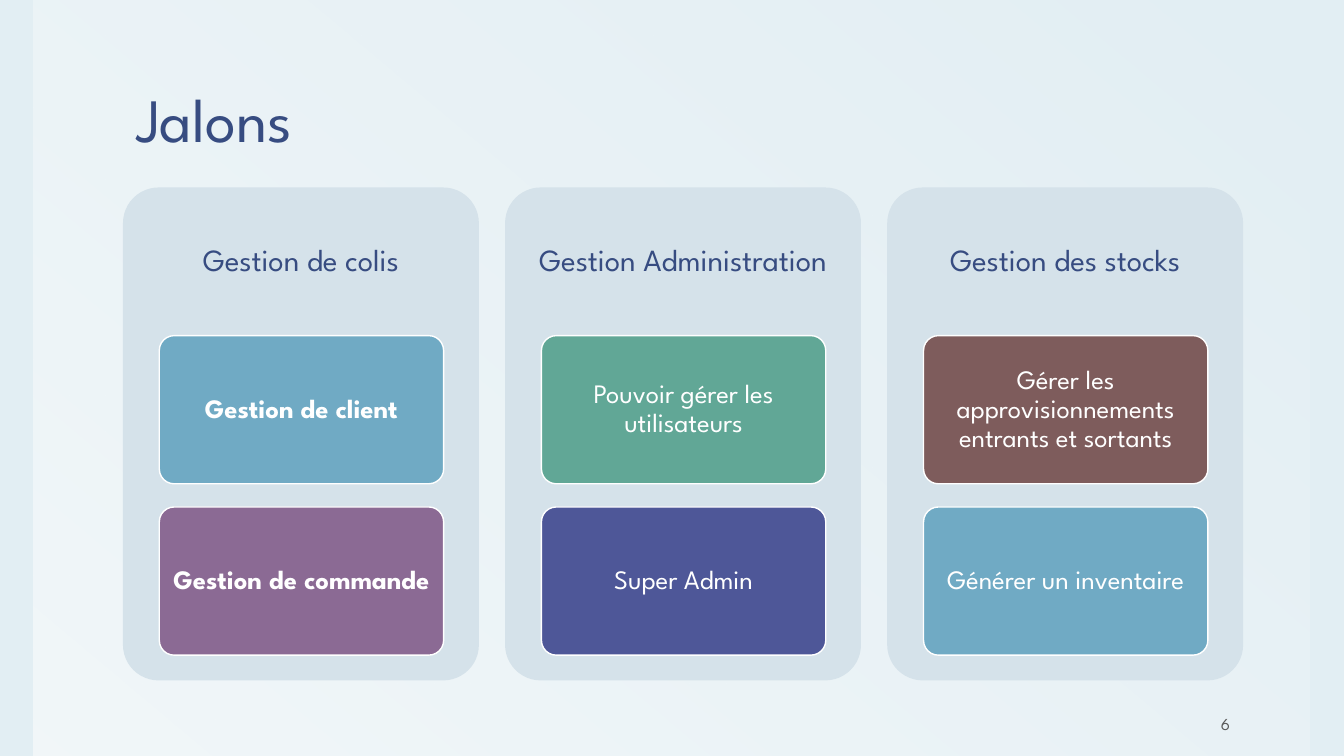
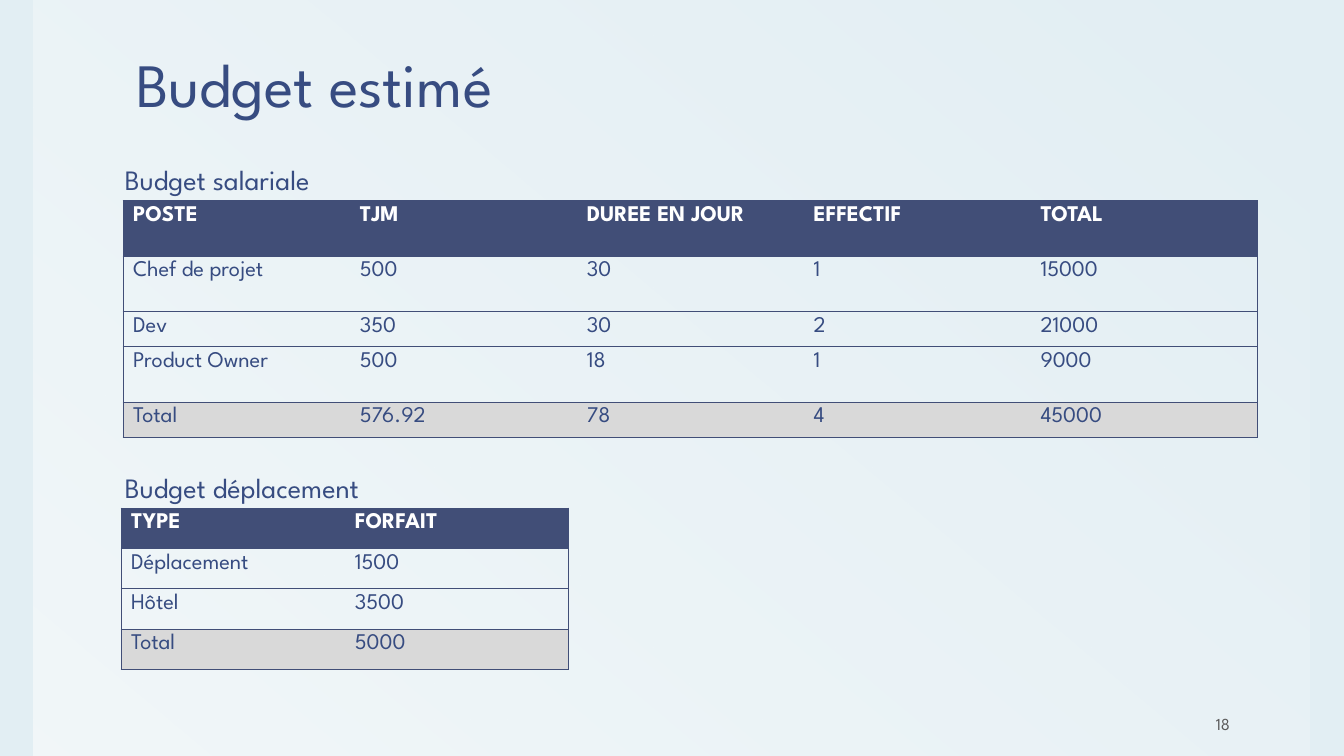
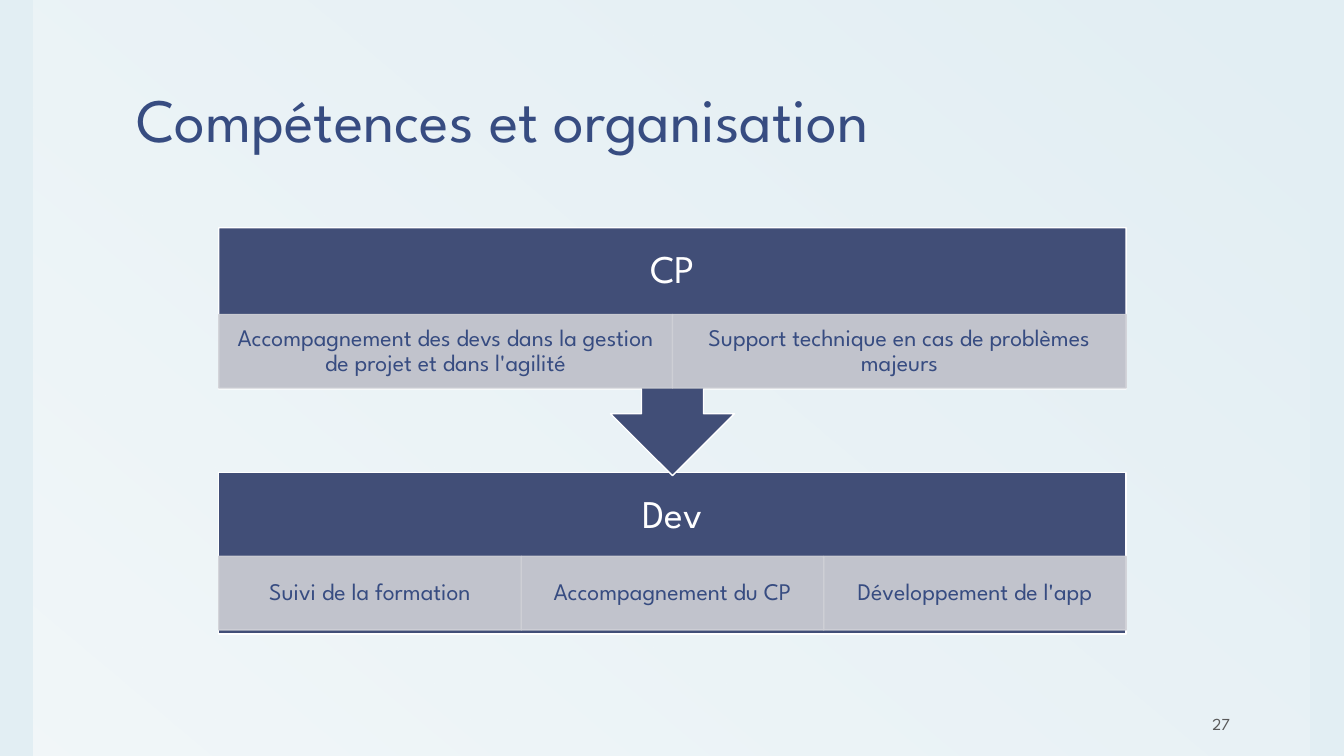
import pptx
import pptx.dml.color
import pptx.enum.shapes
import pptx.enum.text
import pptx.oxml
import pptx.oxml.ns
import pptx.util

Inches = pptx.util.Inches
Shape = pptx.enum.shapes.MSO_SHAPE
Align = pptx.enum.text.PP_ALIGN
Anchor = pptx.enum.text.MSO_ANCHOR

FONT = "League Spartan"
BACKGROUND = "E2EEF3"
WHITE = "FFFFFF"
INK = "374C81"
NAVY = "414E77"
CARD = "D5E2EA"
TASK = "CFD0D6"
TOTAL = "D9D9D9"
PAGE_GREY = "595959"
BLUE, PURPLE, GREEN, INDIGO, BROWN = "70AAC4", "8B6A94", "61A796", "4E5798", "7E5C5C"

LEFT = 1.22
PLACEHOLDER_INSETS = (0.13, 0.07, 0.13, 0.07)
NO_GRID_STYLE = "{2D5ABB26-0587-4C30-8999-92F81FD0307C}"


def rgb(value):
    return pptx.dml.color.RGBColor.from_string(value)


def write_text(frame, text, *, size, color=INK, bold=False, align=Align.LEFT,
               spacing=None, anchor=None, insets=None):
    """Fill a frame with one paragraph; insets run left, top, right, bottom."""
    if insets:
        frame.word_wrap = True
        frame.auto_size = pptx.enum.text.MSO_AUTO_SIZE.NONE
        (frame.margin_left, frame.margin_top,
         frame.margin_right, frame.margin_bottom) = map(Inches, insets)
    if anchor is not None:
        frame.vertical_anchor = anchor
    frame.text = text
    para = frame.paragraphs[0]
    para.alignment = align
    para.line_spacing = spacing
    font = para.runs[0].font
    font.name, font.size, font.bold = FONT, pptx.util.Pt(size), bold
    font.color.rgb = rgb(color)


def set_alpha(shape, percents):
    """Give the shape's fill and line colours, in order, their opacity."""
    colors = shape.element.spPr.iter(pptx.oxml.ns.qn("a:srgbClr"))
    for color, percent in zip(colors, percents):
        alpha = pptx.oxml.parse_xml(
            f'<a:alpha {pptx.oxml.ns.nsdecls("a")} val="{percent * 1000}"/>')
        color.append(alpha)


def add_box(slide, kind, place, fill, line=None):
    shape = slide.shapes.add_shape(kind, *map(Inches, place))
    shape.shadow.inherit = False
    shape.fill.solid()
    shape.fill.fore_color.rgb = rgb(fill)
    if line:
        shape.line.color.rgb = rgb(line)
        shape.line.width = pptx.util.Pt(1)
    else:
        shape.line.fill.background()
    return shape


def add_label(slide, place, text, **style):
    box = slide.shapes.add_textbox(*map(Inches, place))
    write_text(box.text_frame, text, **style)


def set_up_background(deck, layout):
    """Draw the tinted background and the pale panel once, on the layout."""
    fill = deck.slide_master.background.fill
    fill.solid()
    fill.fore_color.rgb = rgb(BACKGROUND)
    panel = add_box(deck.slides[0], Shape.RECTANGLE, (0.33, 0, 12.66, 7.5), WHITE)
    panel.fill.gradient()
    panel.fill.gradient_angle = 230
    for stop, position in zip(panel.fill.gradient_stops, (0, 1)):
        stop.color.rgb = rgb(WHITE)
        stop.position = position
    set_alpha(panel, (0, 55))
    layout.element.cSld.spTree.insert(2, panel.element)


def add_page(deck, layout, title, number, title_height=1.53):
    slide = deck.slides.add_slide(layout)
    heading = slide.shapes.title
    heading.left, heading.top = Inches(LEFT), Inches(0.08)
    heading.width, heading.height = Inches(11.11), Inches(title_height)
    write_text(heading.text_frame, title, size=44, spacing=0.85,
               anchor=Anchor.BOTTOM, insets=PLACEHOLDER_INSETS)
    add_label(slide, (11.12, 7, 1.21, 0.35), str(number), size=12, color=PAGE_GREY,
              align=Align.RIGHT, anchor=Anchor.BOTTOM, insets=PLACEHOLDER_INSETS)
    return slide


def add_milestone_column(slide, left, heading, items, bold):
    card = add_box(slide, Shape.ROUNDED_RECTANGLE, (left, 1.86, 3.53, 4.89), CARD)
    card.adjustments[0] = 0.1
    write_text(card.text_frame, heading, size=22, align=Align.CENTER, spacing=0.9,
               anchor=Anchor.MIDDLE, insets=(0.05, 0.09, 0.05, 3.51))
    for row, (text, color) in enumerate(items):
        place = (left + 0.36, 3.33 + 1.7 * row, 2.82, 1.47)
        item = add_box(slide, Shape.ROUNDED_RECTANGLE, place, color, line=WHITE)
        item.adjustments[0] = 0.1
        write_text(item.text_frame, text, size=19, color=WHITE, bold=bold,
                   align=Align.CENTER, spacing=0.9, anchor=Anchor.MIDDLE,
                   insets=(0.05, 0.04, 0.05, 0.04))


def add_borders(cell, sides):
    properties = cell._tc.get_or_add_tcPr()
    for side in sides:
        properties.append(pptx.oxml.parse_xml(
            f'<a:ln{side} {pptx.oxml.ns.nsdecls("a")} w="6350"><a:solidFill>'
            f'<a:srgbClr val="{NAVY}"/></a:solidFill></a:ln{side}>'))


def add_budget_table(slide, left, top, column_width, heights, rows):
    """Add a table whose first row is the header and last row the total."""
    column_count, last_row = len(rows[0]), len(rows) - 1
    frame = slide.shapes.add_table(
        len(rows), column_count, Inches(left), Inches(top),
        Inches(column_width * column_count), Inches(sum(heights)))
    table = frame.table
    table._tbl.tblPr.find(pptx.oxml.ns.qn("a:tableStyleId")).text = NO_GRID_STYLE
    for column in table.columns:
        column.width = Inches(column_width)
    fills = {0: NAVY, last_row: TOTAL}
    for row, (height, texts) in enumerate(zip(heights, rows)):
        table.rows[row].height = Inches(height)
        for column, text in enumerate(texts):
            cell = table.cell(row, column)
            sides = ["L"] if column == 0 else []
            sides += ["R"] if column == column_count - 1 else []
            add_borders(cell, sides + ["T", "B"])
            if row in fills:
                cell.fill.solid()
                cell.fill.fore_color.rgb = rgb(fills[row])
            else:
                cell.fill.background()
            write_text(cell.text_frame, text, size=16, bold=row == 0,
                       color=WHITE if row == 0 else INK)


def add_role(slide, kind, top, height, name, task_offset, tasks):
    """Add a navy band for a role with its tasks side by side below the name."""
    left, width = 2.17, 9
    band = add_box(slide, kind, (left, top, width, height), NAVY, line=WHITE)
    write_text(band.text_frame, name, size=28, color=WHITE, align=Align.CENTER,
               spacing=0.9, anchor=Anchor.MIDDLE, insets=(0.22, 0.22, 0.22, 0.96))
    task_width = width / len(tasks)
    for index, text in enumerate(tasks):
        place = (left + index * task_width, top + task_offset, task_width, 0.73)
        task = add_box(slide, Shape.RECTANGLE, place, TASK, line=TASK)
        set_alpha(task, (90, 90))
        write_text(task.text_frame, text, size=17, align=Align.CENTER, spacing=0.9,
                   anchor=Anchor.MIDDLE, insets=(0.13, 0.02, 0.13, 0.02))


def build_milestones(slide):
    columns = [
        ("Gestion de colis",
         [("Gestion de client", BLUE), ("Gestion de commande", PURPLE)], True),
        ("Gestion Administration",
         [("Pouvoir gérer les utilisateurs", GREEN), ("Super Admin", INDIGO)], False),
        ("Gestion des stocks",
         [("Gérer les approvisionnements entrants et sortants", BROWN),
          ("Générer un inventaire", BLUE)], False),
    ]
    for index, column in enumerate(columns):
        add_milestone_column(slide, LEFT + 3.79 * index, *column)


def build_budget(slide):
    for top, caption in ((1.56, "Budget salariale"), (4.62, "Budget déplacement")):
        add_label(slide, (1.14, top, 3.73, 0.44), caption, size=20,
                  insets=(0.1, 0.05, 0.1, 0.05))
    add_budget_table(slide, LEFT, 1.99, 2.25, (0.55, 0.55, 0.35, 0.55, 0.35), [
        ("POSTE", "TJM", "DUREE EN JOUR", "EFFECTIF", "TOTAL"),
        ("Chef de projet", "500", "30", "1", "15000"),
        ("Dev", "350", "30", "2", "21000"),
        ("Product Owner", "500", "18", "1", "9000"),
        ("Total", "576.92", "78", "4", "45000"),
    ])
    add_budget_table(slide, 1.2, 5.04, 2.22, (0.4,) * 4, [
        ("TYPE", "FORFAIT"),
        ("Déplacement", "1500"),
        ("Hôtel", "3500"),
        ("Total", "5000"),
    ])


def build_organisation(slide):
    add_role(slide, Shape.RECTANGLE, 4.69, 1.6, "Dev", 0.83,
             ["Suivi de la formation", "Accompagnement du CP", "Développement de l'app"])
    add_role(slide, Shape.DOWN_ARROW_CALLOUT, 2.26, 2.46, "CP", 0.86,
             ["Accompagnement des devs dans la gestion de projet et dans l'agilité",
              "Support technique en cas de problèmes majeurs"])


def main():
    deck = pptx.Presentation()
    deck.slide_width, deck.slide_height = Inches(13.33), Inches(7.5)
    layout = deck.slide_layouts[5]
    build_milestones(add_page(deck, layout, "Jalons", 6))
    build_budget(add_page(deck, layout, "Budget estimé", 18, title_height=1.18))
    build_organisation(add_page(deck, layout, "Compétences et organisation", 27))
    set_up_background(deck, layout)
    deck.save("out.pptx")


if __name__ == "__main__":
    main()
